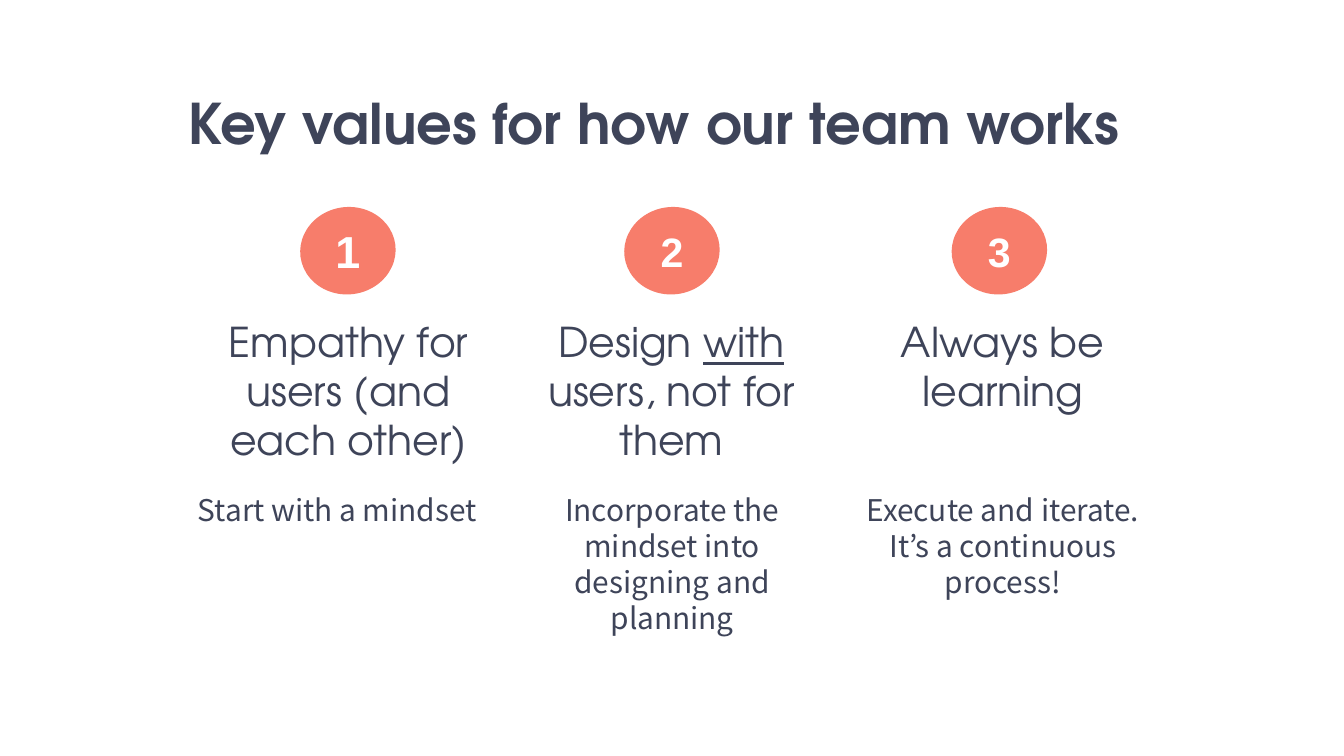
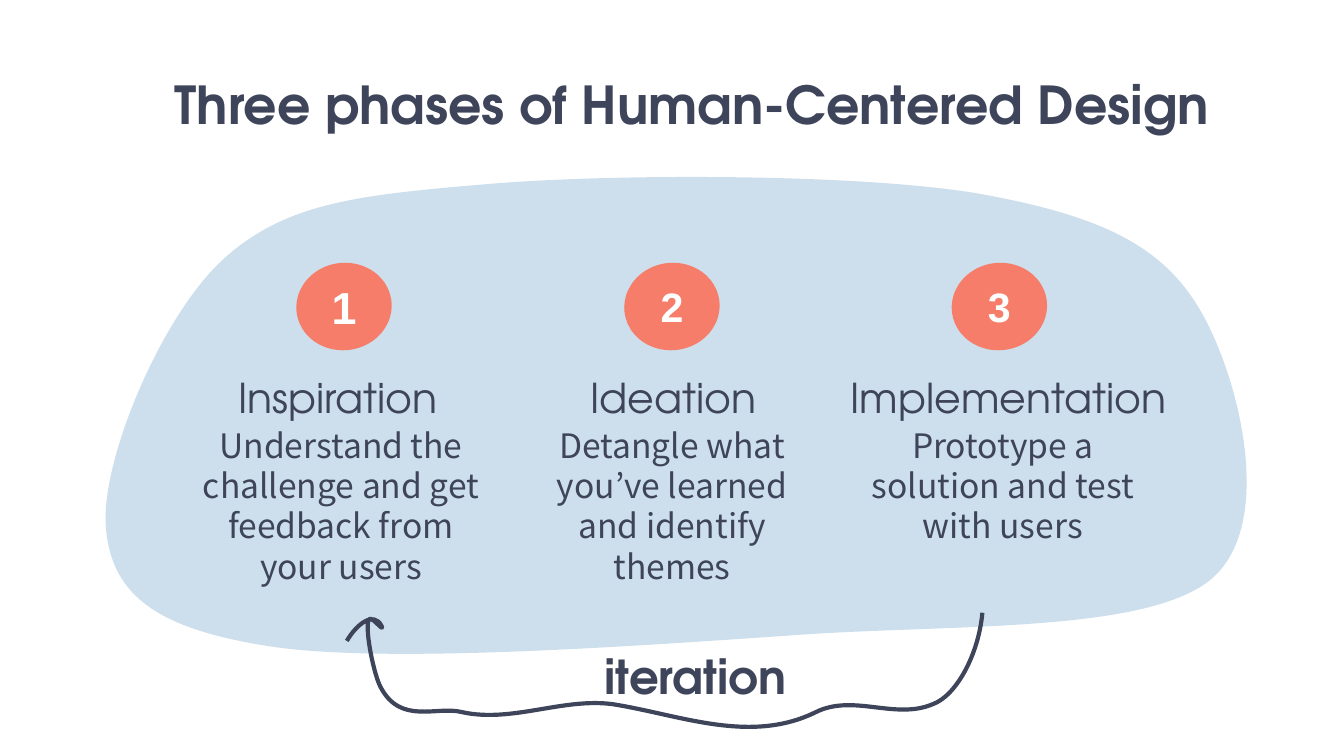
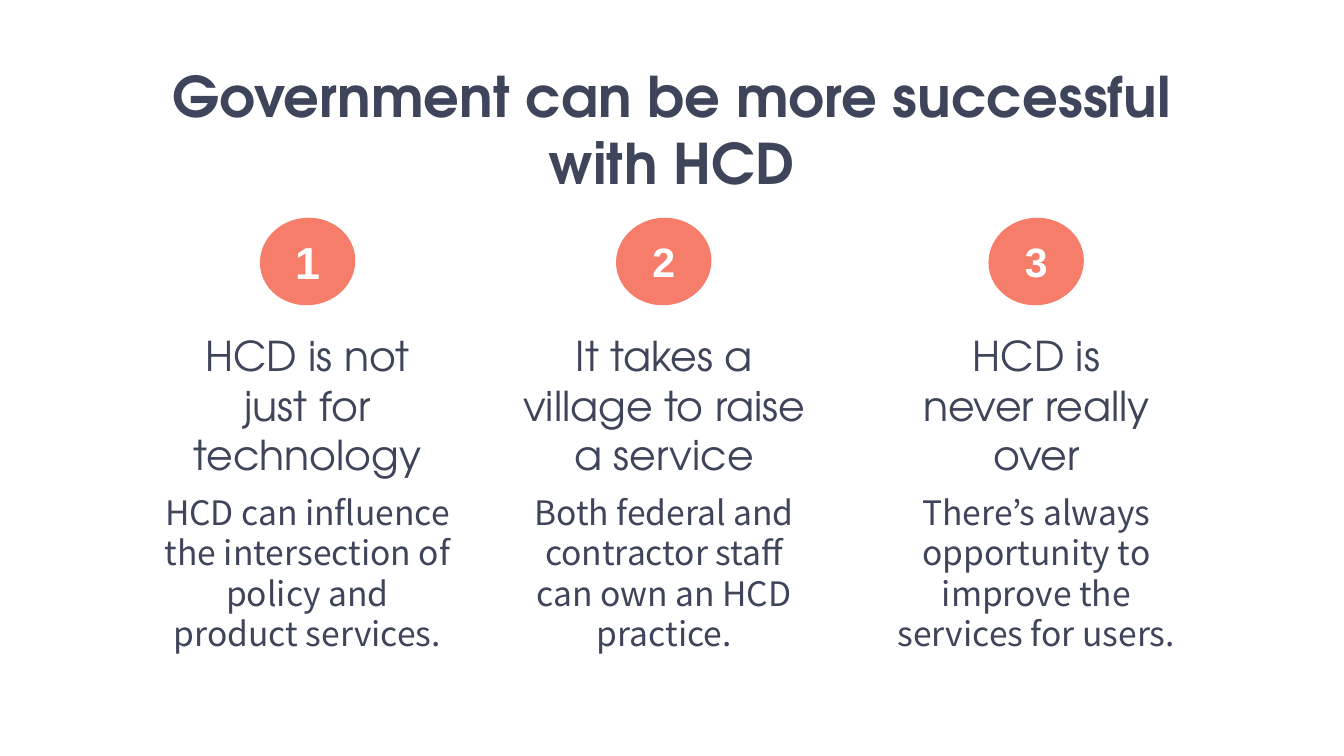
from dataclasses import dataclass
from typing import NamedTuple

from pptx import Presentation
from pptx.dml.color import RGBColor
from pptx.enum.shapes import MSO_SHAPE as Preset
from pptx.enum.text import MSO_ANCHOR as Anchor, MSO_AUTO_SIZE as AutoSize, PP_ALIGN as Align
from pptx.oxml.ns import qn
from pptx.oxml.xmlchemy import OxmlElement
from pptx.shapes.base import BaseShape
from pptx.slide import Slide
from pptx.util import Pt


@dataclass(frozen=True)
class Theme:
    ink: RGBColor = RGBColor(0x3E, 0x44, 0x59)
    coral: RGBColor = RGBColor(0xF7, 0x7D, 0x6B)
    mist: RGBColor = RGBColor(0xCD, 0xDF, 0xEC)
    white: RGBColor = RGBColor(0xFF, 0xFF, 0xFF)
    display_font: str = "TeX Gyre Adventor"
    body_font: str = "Noto Sans CJK KR"
    number_font: str = "Arial"
    title_size: float = 30
    long_title_size: float = 28
    loop_size: float = 25
    first_number_size: float = 24
    number_size: float = 22
    heading_size: float = 22
    body_size: float = 18
    small_body_size: float = 16
    body_leading: float = 1.2
    inset: float = 7.2
    loop_width: float = 2.25


THEME = Theme()


class Box(NamedTuple):
    left: float
    top: float
    width: float
    height: float


class TextStyle(NamedTuple):
    font: str
    size: float
    color: RGBColor = THEME.ink
    bold: bool = False
    anchor: Anchor = Anchor.TOP
    align: Align = Align.CENTER
    leading: float | None = None


class Point(NamedTuple):
    x: float
    y: float


class Curve(NamedTuple):
    control_1: Point
    control_2: Point
    end: Point


@dataclass(frozen=True)
class Column:
    heading: str
    body: str
    badge_left: float
    heading_left: float
    heading_width: float
    body_left: float
    underlined: str = ""


@dataclass(frozen=True)
class ColumnSlide:
    title: str
    title_box: Box
    columns: tuple[Column, ...]
    badge_top: float
    heading_top: float
    body_top: float
    title_size: float = THEME.title_size
    body_size: float = THEME.body_size
    heading_height: float = 41
    body_height: float = 78
    title_anchor: Anchor = Anchor.TOP
    heading_anchor: Anchor = Anchor.TOP


BADGE_WIDTH, BADGE_HEIGHT, BADGE_ROTATION = 51.2, 46.8, 352.7
NUMBER_WIDTH, NUMBER_HEIGHT = 32.4, 36
BODY_WIDTH = 169.2
POINTS_PER_CURVE = 3

VALUES = ColumnSlide(
    title="Key values for how our team works",
    title_box=Box(71, 40.3, 558.7, 41),
    badge_top=110.9,
    heading_top=162.2,
    body_top=256.3,
    body_size=THEME.small_body_size,
    columns=(
        Column("Empathy for users (and each other)", "Start with a mindset ",
               160.8, 109.2, 154.8, 97.9),
        Column("Design with users, not for them",
               "Incorporate the mindset into designing and planning",
               334.4, 282.2, 154.8, 275.5, underlined="with"),
        Column("Always be learning", "Execute and iterate. It’s a continuous process!",
               509.8, 473.5, 127.4, 452.7),
    ),
)

PHASES = ColumnSlide(
    title="Three phases of Human-Centered Design",
    title_box=Box(70.4, 38.5, 600.5, 41),
    title_size=THEME.long_title_size,
    title_anchor=Anchor.BOTTOM,
    heading_anchor=Anchor.BOTTOM,
    badge_top=140.8,
    heading_top=192.2,
    body_top=220.3,
    columns=(
        Column("Inspiration", "Understand the challenge and get feedback from your users",
               158.7, 106, 149.8, 98.1),
        Column("Ideation", "Detangle what you’ve learned and identify themes",
               334.4, 285.8, 149.8, 275.5),
        Column("Implementation", "Prototype a solution and test with users",
               509.8, 448, 184.3, 452.6),
    ),
)

SUCCESS = ColumnSlide(
    title="Government can be more successful with HCD",
    title_box=Box(72.9, 25.9, 573.8, 39.6),
    badge_top=116.7,
    heading_top=170,
    heading_height=86.4,
    body_top=256.3,
    body_height=97.2,
    columns=(
        Column("HCD is not just for technology",
               "HCD can influence the intersection of policy and product services.",
               139.2, 87.3, 154.8, 80.1),
        Column("It takes a village to raise a service",
               "Both federal and contractor staff can own an HCD practice.",
               330, 271.2, 169.2, 271.2),
        Column("HCD is never really over",
               "There’s always opportunity to improve the services for users.",
               529.5, 483.6, 143.3, 470.6),
    ),
)

BLOB_START = Point(421.2, 340.6)
BLOB_CURVES = (
    Curve(Point(337.7, 346.3), Point(205.9, 355.7), Point(144.7, 346.3)),
    Curve(Point(84.2, 337), Point(60.5, 319), Point(56.9, 284.4)),
    Curve(Point(52.6, 249.8), Point(85.7, 169.9), Point(119.5, 139)),
    Curve(Point(153.4, 108), Point(193.7, 104.4), Point(261.4, 98.6)),
    Curve(Point(328.3, 92.9), Point(460.1, 92.9), Point(524.2, 103.7)),
    Curve(Point(587.5, 115.2), Point(621.4, 130.3), Point(642.2, 164.9)),
    Curve(Point(663.1, 199.4), Point(684.7, 281.5), Point(648, 311)),
    Curve(Point(611.3, 339.8), Point(505.4, 334.1), BLOB_START),
)

LOOP_START = Point(526.3, 328.3)
LOOP_CURVES = (
    Curve(Point(524.2, 351.4), Point(511.9, 373), Point(499.7, 377.3)),
    Curve(Point(479.5, 385.9), Point(457.2, 371.5), Point(437, 381.6)),
    Curve(Point(401.8, 398.9), Point(364.3, 383), Point(328.3, 377.3)),
    Curve(Point(301.7, 373.7), Point(274.3, 387.4), Point(247.7, 381.6)),
    Curve(Point(234, 378), Point(214.6, 388.8), Point(203.8, 367.9)),
    Curve(Point(199.4, 359.3), Point(193.7, 327.6), Point(199.4, 331.9)),
    Curve(Point(201.6, 333.4), Point(205.9, 338.4), Point(204.5, 335.5)),
    Curve(Point(200.2, 326.9), Point(190.8, 334.8), Point(185.8, 343.4)),
)


def place(shape: BaseShape, box: Box) -> None:
    shape.left, shape.top, shape.width, shape.height = map(Pt, box)


def write(shape: BaseShape, text: str, style: TextStyle, underlined: str = "") -> None:
    frame = shape.text_frame
    frame.word_wrap = True
    frame.auto_size = AutoSize.NONE
    frame.vertical_anchor = style.anchor
    frame.margin_left = frame.margin_right = Pt(THEME.inset)
    frame.margin_top = frame.margin_bottom = Pt(THEME.inset)
    paragraph = frame.paragraphs[0]
    paragraph.alignment = style.align
    if style.leading:
        paragraph.line_spacing = Pt(style.size * style.leading)
    if underlined:
        before, marked, after = text.partition(underlined)
        paragraph.text = before
        for part in (marked, after):
            run = paragraph.add_run()
            run.text = part
            run.font.underline = part == marked
    else:
        paragraph.text = text
    for run in paragraph.runs:
        run.font.name = style.font
        run.font.size = Pt(style.size)
        run.font.bold = style.bold
        run.font.color.rgb = style.color


def add_text(slide: Slide, box: Box, text: str, style: TextStyle, underlined: str = "") -> None:
    write(slide.shapes.add_textbox(*map(Pt, box)), text, style, underlined)


def add_badge(slide: Slide, number: int, left: float, top: float) -> None:
    badge = slide.shapes.add_shape(
        Preset.OVAL, *map(Pt, (left, top, BADGE_WIDTH, BADGE_HEIGHT)))
    badge.rotation = BADGE_ROTATION
    badge.shadow.inherit = False
    badge.fill.solid()
    badge.fill.fore_color.rgb = THEME.coral
    badge.line.fill.background()
    number_box = Box(left + (BADGE_WIDTH - NUMBER_WIDTH) / 2,
                     top + (BADGE_HEIGHT - NUMBER_HEIGHT) / 2,
                     NUMBER_WIDTH, NUMBER_HEIGHT)
    size = THEME.first_number_size if number == 1 else THEME.number_size
    add_text(slide, number_box, str(number),
             TextStyle(THEME.number_font, size, THEME.white, True, Anchor.MIDDLE))


def add_column(slide: Slide, content: ColumnSlide, number: int, column: Column) -> None:
    add_badge(slide, number, column.badge_left, content.badge_top)
    heading_box = Box(column.heading_left, content.heading_top,
                      column.heading_width, content.heading_height)
    add_text(slide, heading_box, column.heading,
             TextStyle(THEME.display_font, THEME.heading_size, anchor=content.heading_anchor),
             column.underlined)
    body_box = Box(column.body_left, content.body_top, BODY_WIDTH, content.body_height)
    add_text(slide, body_box, column.body,
             TextStyle(THEME.body_font, content.body_size, leading=THEME.body_leading))


def bend_segments(outline: BaseShape) -> None:
    segments = list(outline.element.iter(qn("a:lnTo")))
    for first in range(0, len(segments), POINTS_PER_CURVE):
        bend = OxmlElement("a:cubicBezTo")
        segments[first].addprevious(bend)
        for segment in segments[first:first + POINTS_PER_CURVE]:
            bend.append(segment[0])
            segment.getparent().remove(segment)


def add_outline(slide: Slide, start: Point, curves: tuple[Curve, ...], closed: bool) -> BaseShape:
    builder = slide.shapes.build_freeform(Pt(start.x), Pt(start.y), scale=1.0)
    builder.add_line_segments(
        [(Pt(point.x), Pt(point.y)) for curve in curves for point in curve], close=closed)
    outline = builder.convert_to_shape()
    bend_segments(outline)
    outline.shadow.inherit = False
    return outline


def add_blob(slide: Slide) -> None:
    blob = add_outline(slide, BLOB_START, BLOB_CURVES, closed=True)
    blob.fill.solid()
    blob.fill.fore_color.rgb = THEME.mist
    blob.line.fill.background()


def add_iteration_loop(slide: Slide) -> None:
    loop = add_outline(slide, LOOP_START, LOOP_CURVES, closed=False)
    loop.fill.background()
    loop.line.color.rgb = THEME.ink
    loop.line.width = Pt(THEME.loop_width)
    add_text(slide, Box(316.8, 339.8, 119.5, 30.2), "iteration",
             TextStyle(THEME.display_font, THEME.loop_size, bold=True, align=Align.LEFT))


def add_titled_slide(presentation: Presentation, content: ColumnSlide) -> Slide:
    slide = presentation.slides.add_slide(presentation.slide_layouts.get_by_name("Title Only"))
    title = slide.shapes.title
    place(title, content.title_box)
    write(title, content.title,
          TextStyle(THEME.display_font, content.title_size, bold=True,
                    anchor=content.title_anchor))
    return slide


def add_columns(slide: Slide, content: ColumnSlide) -> None:
    for number, column in enumerate(content.columns, start=1):
        add_column(slide, content, number, column)


def main() -> None:
    presentation = Presentation()
    presentation.slide_width, presentation.slide_height = Pt(720), Pt(405)

    add_columns(add_titled_slide(presentation, VALUES), VALUES)

    phases_slide = add_titled_slide(presentation, PHASES)
    add_blob(phases_slide)
    add_columns(phases_slide, PHASES)
    add_iteration_loop(phases_slide)

    add_columns(add_titled_slide(presentation, SUCCESS), SUCCESS)

    presentation.save("out.pptx")


if __name__ == "__main__":
    main()
